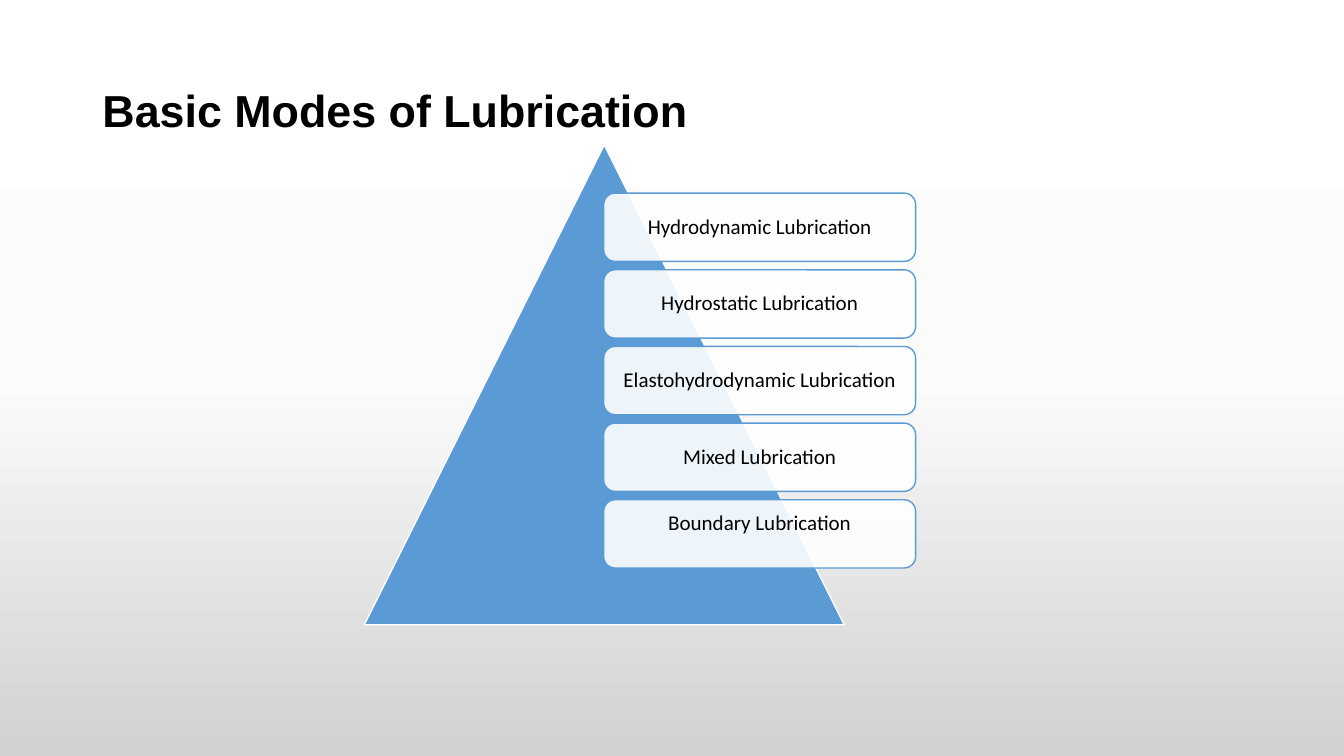
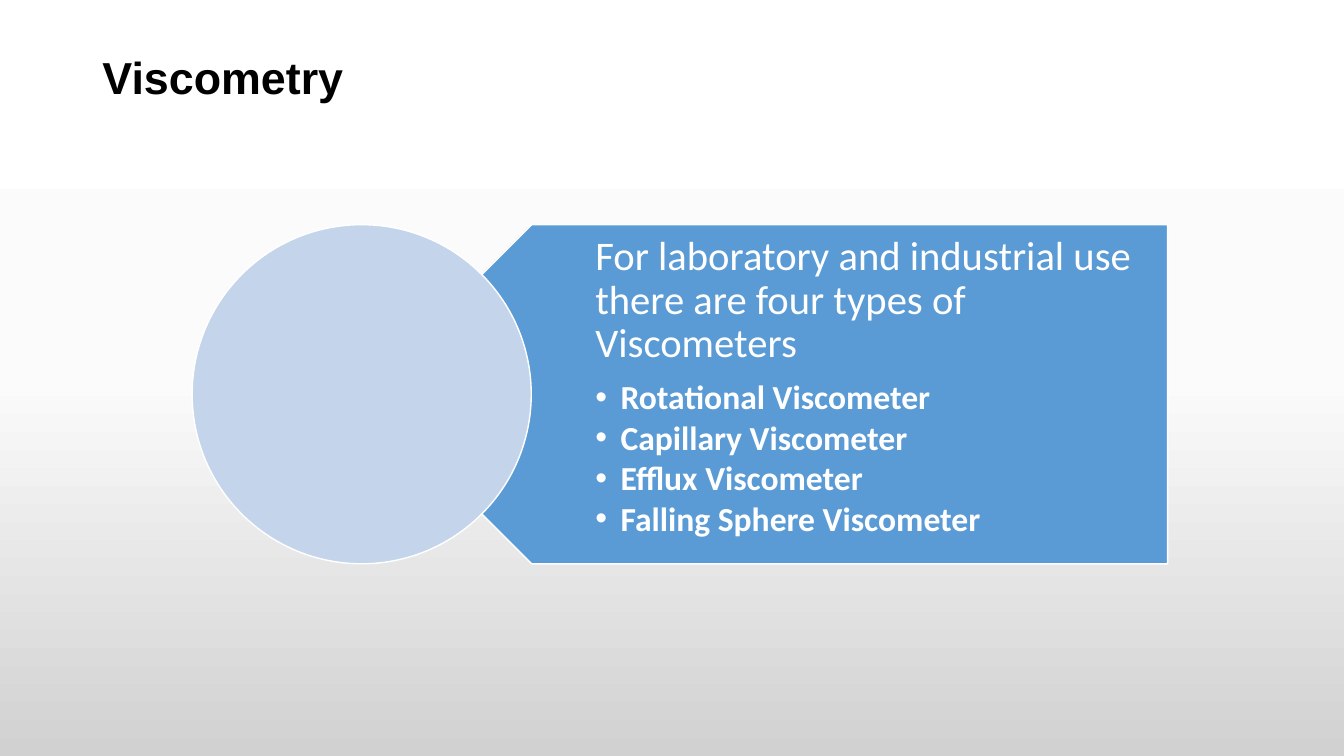
from copy import deepcopy
from dataclasses import dataclass

from pptx import Presentation
from pptx.dml.color import RGBColor as RGB
from pptx.enum.shapes import MSO_SHAPE as SHAPE
from pptx.enum.text import MSO_ANCHOR as ANCHOR, MSO_AUTO_SIZE as AUTO, PP_ALIGN as ALIGN
from pptx.oxml.ns import qn
from pptx.util import Pt

PX = 9525  # EMU per px, 96 px to the inch


@dataclass(frozen=True)
class Theme:
    black: str = "000000"
    white: str = "FFFFFF"
    blue: str = "5B9BD5"
    pale: str = "C4D5EB"
    background: tuple = ((0, "FFFFFF"), (0.5, "FBFBFB"), (1, "D1D1D1"))
    heading: str = "Arial"
    text: str = "Calibri"
    title_size: int = 32
    intro_size: int = 29
    list_size: int = 24
    card_size: int = 15


T = Theme()


def write(p, text, size, color, font=T.text, bold=False, align=ALIGN.LEFT, after=0, bullet=None, indent=0):
    """Fill a paragraph; indent is the hanging indent of its bullet in px."""
    p.text = text
    pPr = p._p.get_or_add_pPr()
    pPr.set("marL", str(indent * PX))
    pPr.set("indent", str(-indent * PX))
    if bullet:
        pPr.makeelement(qn("a:buFont"))
        buFont = pPr.makeelement(qn("a:buFont"), {"typeface": T.heading})
        buChar = pPr.makeelement(qn("a:buChar"), {"char": bullet})
        pPr.extend([buFont, buChar])
    else:
        pPr.append(pPr.makeelement(qn("a:buNone")))
    p.alignment, p.line_spacing = align, 0.9
    p.space_before, p.space_after = Pt(0), Pt(after)
    f = p.runs[0].font
    f.name, f.size, f.bold = font, Pt(size), bold
    f.color.rgb = RGB.from_string(color)


def draw(s, kind, box, fill, line, opacity=100):
    sp = s.shapes.add_shape(kind, *[v * PX for v in box])
    sp.shadow.inherit = False
    sp.fill.solid()
    sp.fill.fore_color.rgb = RGB.from_string(fill)
    if opacity < 100:
        clr = sp._element.spPr.find(qn("a:solidFill"))[0]
        clr.append(clr.makeelement(qn("a:alpha"), {"val": str(opacity * 1000)}))
    sp.line.color.rgb = RGB.from_string(line)
    sp.line.width = Pt(1)
    return sp


prs = Presentation()
prs.slide_width, prs.slide_height = 1280 * PX, 720 * PX

# Shared background
bg = prs.slide_master.background.fill
bg.gradient()
bg.gradient_angle = 270
last = bg.gradient_stops[-1]._gs
last.addnext(deepcopy(last))
for stop, (position, color) in zip(bg.gradient_stops, T.background):
    stop.position = position
    stop.color.rgb = RGB.from_string(color)

# Slides and their titles
slides = []
for layout, title, height in (
    ("Title Only", "Basic Modes of Lubrication", 139),
    ("Title and Content", "Viscometry", 76),
):
    s = prs.slides.add_slide(prs.slide_layouts.get_by_name(layout))
    sp = s.shapes.title
    sp.left, sp.top, sp.width, sp.height = [v * PX for v in (88, 38, 1104, height)]
    tf = sp.text_frame
    tf.auto_size, tf.vertical_anchor = AUTO.NONE, ANCHOR.MIDDLE
    write(tf.paragraphs[0], title, T.title_size, T.black, font=T.heading, bold=True)
    slides.append(s)
modes, viscometry = slides

# Pyramid of lubrication modes
draw(modes, SHAPE.ISOSCELES_TRIANGLE, (347, 138, 457, 457), T.blue, T.white)
CARD_TOP, CARD_PITCH = 184, 73
cards = (
    ("Hydrodynamic Lubrication", 6),
    ("Hydrostatic Lubrication", 6),
    ("Elastohydrodynamic Lubrication", 6),
    ("Mixed Lubrication", 6),
    ("Boundary Lubrication", 25),
)
for i, (name, bottom) in enumerate(cards):
    box = (575, CARD_TOP + i * CARD_PITCH, 297, 65)
    tf = draw(modes, SHAPE.ROUNDED_RECTANGLE, box, T.white, T.blue, opacity=90).text_frame
    tf.word_wrap, tf.vertical_anchor = True, ANCHOR.MIDDLE
    tf.margin_left = tf.margin_right = tf.margin_top = 6 * PX
    tf.margin_bottom = bottom * PX
    write(tf.paragraphs[0], name, T.card_size, T.black, align=ALIGN.CENTER)

# Viscometer types
TOP, HEIGHT = 214, 323
draw(viscometry, SHAPE.PENTAGON, (345, TOP, 767, HEIGHT), T.blue, T.white).rotation = 180
draw(viscometry, SHAPE.OVAL, (183, TOP, HEIGHT, HEIGHT), T.pale, T.white)

body = viscometry.placeholders[1]
body.left, body.top, body.width, body.height = [v * PX for v in (567, TOP, 527, HEIGHT)]
viscometry.shapes._spTree.append(body._element)  # bring in front of the arrow
tf = body.text_frame
tf.auto_size, tf.word_wrap, tf.vertical_anchor = AUTO.NONE, True, ANCHOR.TOP
tf.margin_left = tf.margin_right = 0
tf.margin_top = tf.margin_bottom = 10 * PX
write(
    tf.paragraphs[0],
    "For laboratory and industrial use there are four types of Viscometers",
    T.intro_size, T.white, after=10,
)
for kind in ("Rotational", "Capillary", "Efflux", "Falling Sphere"):
    p = tf.add_paragraph()
    p.level = 1
    write(p, f"{kind} Viscometer", T.list_size, T.white, bold=True, after=3, bullet="•", indent=24)

prs.save("out.pptx")
